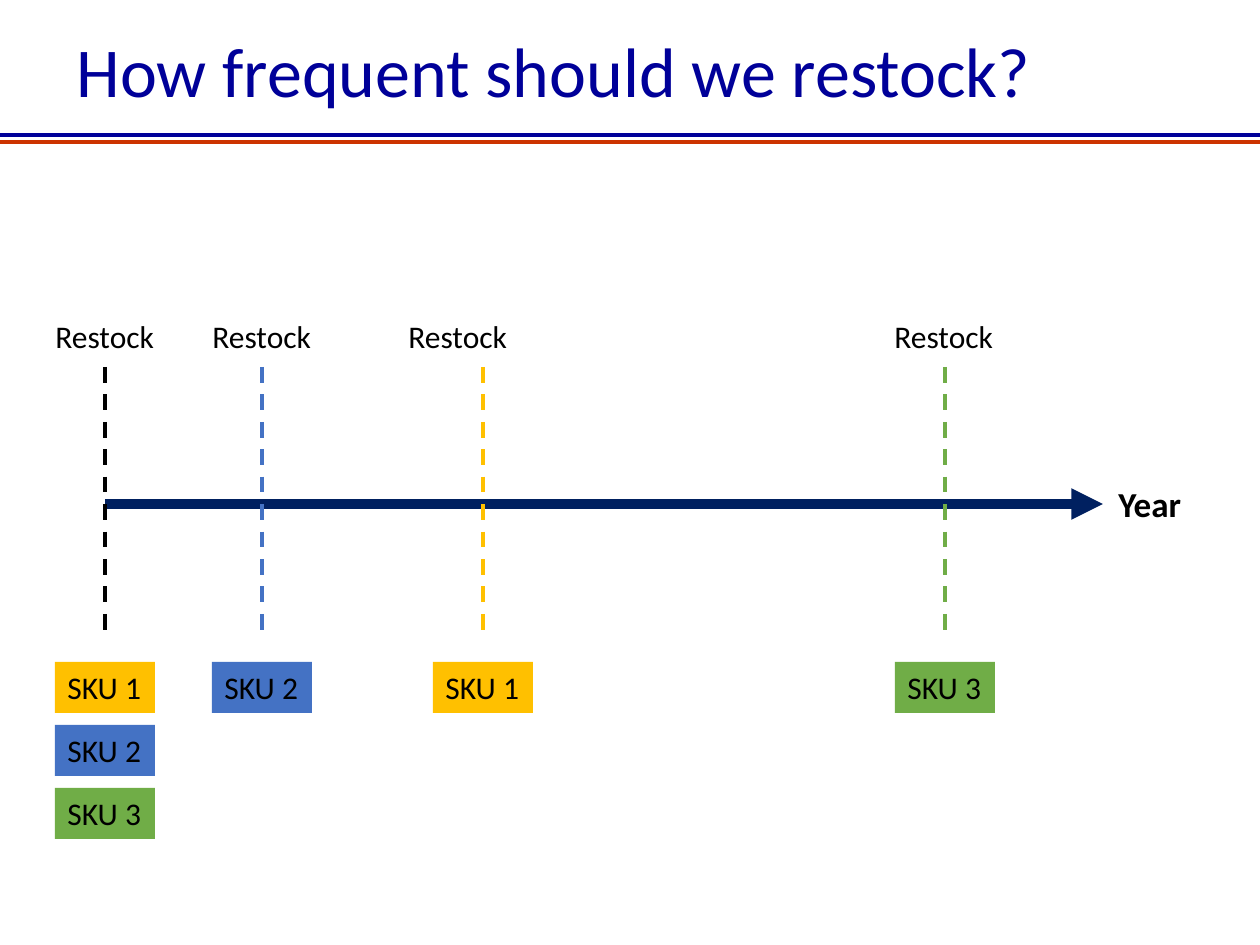
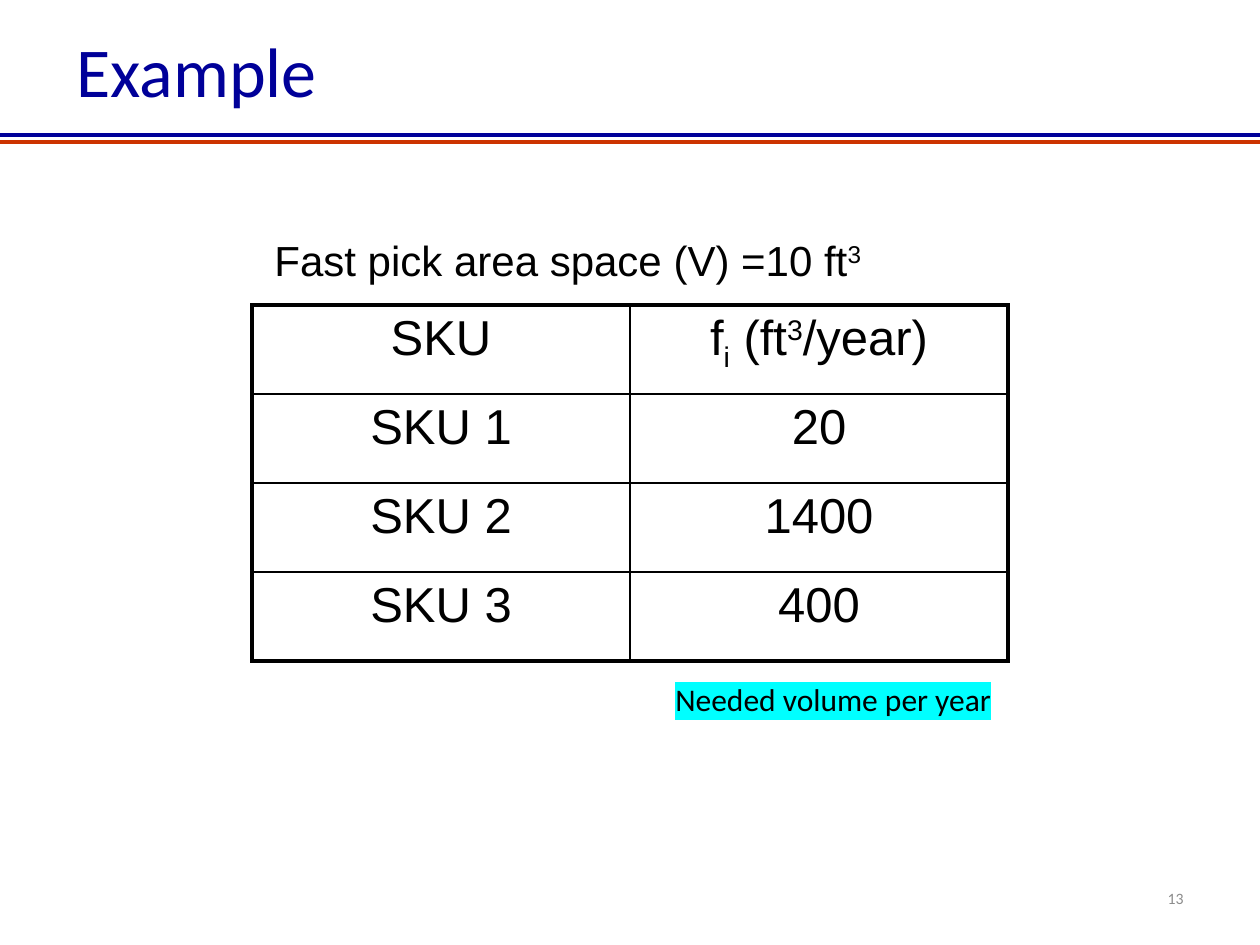
"""Build two slides on restocking frequency: a timeline and an example table."""
from lxml.etree import SubElement
from pptx import Presentation
from pptx.dml.color import RGBColor
from pptx.enum.dml import MSO_LINE
from pptx.enum.shapes import MSO_CONNECTOR, MSO_SHAPE
from pptx.enum.text import MSO_ANCHOR, PP_ALIGN
from pptx.oxml import parse_xml
from pptx.oxml.ns import nsdecls, qn
from pptx.util import Emu, Pt

COLORS = {"blue": "000099", "red": "CC3300", "navy": "002060", "black": "000000",
          "gray": "8C8C8C", "cyan": "00FFFF", "SKU 1": "FFC000",
          "SKU 2": "4472C4", "SKU 3": "70AD47"}
RULES = [(135, "blue"), (142, "red")]
RESTOCKS = [
    {"x": 105, "label": 43, "color": "black", "skus": ["SKU 1", "SKU 2", "SKU 3"]},
    {"x": 262, "label": 200, "color": "SKU 2", "skus": ["SKU 2"]},
    {"x": 483, "label": 396, "color": "SKU 1", "skus": ["SKU 1"]},
    {"x": 945, "label": 882, "color": "SKU 3", "skus": ["SKU 3"]},
]
UNIT = [("f", 0), ("i", -25), (" (ft", 0), ("3", 30), ("/year)", 0)]
SPACE = [("Fast pick area space (V) =10 ft", 0), ("3", 30)]
TABLE = [["SKU", UNIT], ["SKU 1", "20"], ["SKU 2", "1400"], ["SKU 3", "400"]]


def px(n):
    return Emu(round(n * 914400 / 126))


def box(*lengths):
    return [px(n) for n in lengths]


def rgb(name):
    return RGBColor.from_string(COLORS[name])


def write(p, text, size, color="black", font="Calibri", bold=False, align=PP_ALIGN.LEFT):
    p.font.size, p.font.name, p.font.bold = Pt(size), font, bold
    p.font.color.rgb = rgb(color)
    p.alignment = align
    for part, base in [(text, 0)] if isinstance(text, str) else text:
        r = p.add_run()
        r.text = part
        if base:
            r._r.get_or_add_rPr().set("baseline", str(base * 1000))


def add_text(s, at, text, size, wrap=False, **style):
    tf = s.shapes.add_textbox(*box(*at)).text_frame
    tf.word_wrap = wrap
    write(tf.paragraphs[0], text, size, **style)
    return tf


def add_line(s, ends, color, width=2.25, dash=False, arrow=False):
    c = s.shapes.add_connector(MSO_CONNECTOR.STRAIGHT, *box(*ends))
    c.line.color.rgb, c.line.width = rgb(color), Pt(width)
    if dash:
        c.line.dash_style = MSO_LINE.DASH
    if arrow:
        SubElement(c.line._get_or_add_ln(), qn("a:tailEnd"), type="triangle")
    SubElement(c._element.spPr, qn("a:effectLst"))


def add_sku(s, x, y, sku):
    sp = s.shapes.add_shape(MSO_SHAPE.RECTANGLE, *box(x, y, 100, 51))
    sp.shadow.inherit = False
    sp.fill.solid()
    sp.fill.fore_color.rgb = rgb(sku)
    sp.line.fill.background()
    tf = sp.text_frame
    tf.word_wrap, tf.vertical_anchor = False, MSO_ANCHOR.TOP
    write(tf.paragraphs[0], sku, 18)


def add_slide(prs, title):
    s = prs.slides.add_slide(prs.slide_layouts[5])
    sp = s.shapes.title
    sp.left, sp.top, sp.width, sp.height = box(64, 16, 1131, 118)
    sp.text_frame.vertical_anchor = MSO_ANCHOR.MIDDLE
    p = sp.text_frame.paragraphs[0]
    p.line_spacing = 0.9
    write(p, title, 40, "blue")
    for y, color in RULES:
        add_line(s, (0, y, 1260, y), color)
    return s


def add_borders(cell, widths):
    tcPr = cell._tc.get_or_add_tcPr()
    for i, (side, width) in enumerate(zip("LRTB", widths)):
        tcPr.insert(i, parse_xml(
            f'<a:ln{side} {nsdecls("a")} w="{Pt(width)}"><a:solidFill>'
            f'<a:srgbClr val="{COLORS["black"]}"/></a:solidFill></a:ln{side}>'))


def add_table(s):
    rows, cols = len(TABLE), len(TABLE[0])
    tbl = s.shapes.add_table(rows, cols, *box(252, 305, 756, 356)).table
    tbl.first_row = tbl.horz_banding = False
    for i, row in enumerate(TABLE):
        for j, text in enumerate(row):
            cell = tbl.cell(i, j)
            cell.fill.background()
            write(cell.text_frame.paragraphs[0], text, 28, font="Arial",
                  align=PP_ALIGN.CENTER)
            outer = (j == 0, j == cols - 1, i == 0, i == rows - 1)
            add_borders(cell, [2.25 if edge else 1 for edge in outer])


def timeline_slide(prs):
    s = add_slide(prs, "How frequent should we restock?")
    add_line(s, (105, 504, 1103, 504), "navy", 6, arrow=True)
    add_text(s, (1106, 476, 90, 55), "Year", 20, bold=True)
    for stop in RESTOCKS:
        x = stop["x"]
        add_line(s, (x, 367, x, 630), stop["color"], dash=True)
        add_text(s, (stop["label"], 311, 125, 51), "Restock", 18)
        for i, sku in enumerate(stop["skus"]):
            add_sku(s, x - 50, 662 + 63 * i, sku)


def example_slide(prs):
    s = add_slide(prs, "Example")
    add_table(s)
    add_text(s, (262, 228, 725, 63), SPACE, 24, wrap=True, font="Arial")
    tf = add_text(s, (912, 873, 284, 50), "13", 9, wrap=True, color="gray",
                  align=PP_ALIGN.RIGHT)
    tf.vertical_anchor = MSO_ANCHOR.MIDDLE
    tf = add_text(s, (663, 674, 345, 51), "Needed volume per year", 18)
    rPr = tf.paragraphs[0].runs[0]._r.get_or_add_rPr()
    SubElement(SubElement(rPr, qn("a:highlight")), qn("a:srgbClr"), val=COLORS["cyan"])


def main():
    prs = Presentation()
    prs.slide_width, prs.slide_height = box(1260, 945)
    timeline_slide(prs)
    example_slide(prs)
    prs.save("out.pptx")


if __name__ == "__main__":
    main()
